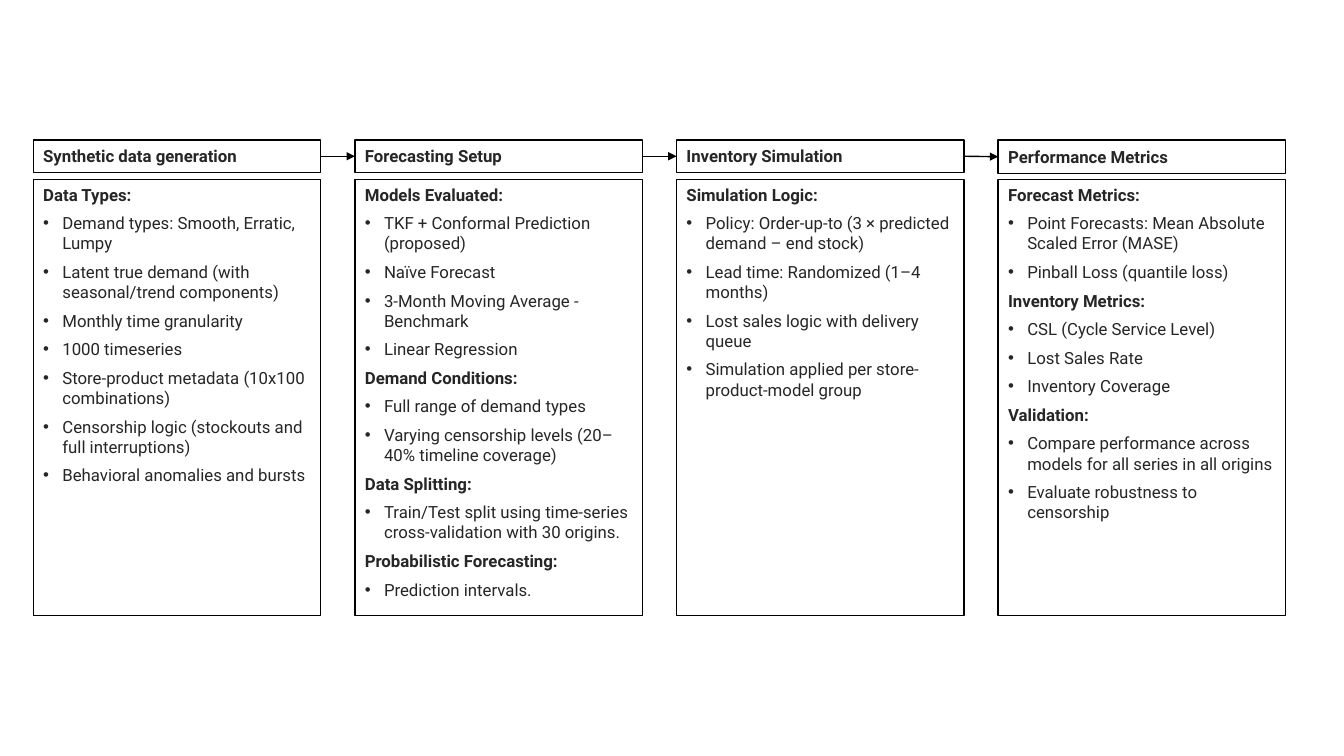
from dataclasses import dataclass

from lxml import etree
from pptx import Presentation
from pptx.dml.color import RGBColor
from pptx.enum.shapes import MSO_CONNECTOR, MSO_SHAPE
from pptx.enum.text import MSO_ANCHOR, PP_ALIGN
from pptx.oxml.ns import qn
from pptx.shapes.autoshape import Shape
from pptx.slide import Slide
from pptx.text.text import _Paragraph
from pptx.util import Inches, Pt

RECTANGLE = MSO_SHAPE.RECTANGLE
STRAIGHT = MSO_CONNECTOR.STRAIGHT
LEFT = PP_ALIGN.LEFT
TOP = MSO_ANCHOR.TOP
MIDDLE = MSO_ANCHOR.MIDDLE

WHITE = RGBColor(0xFF, 0xFF, 0xFF)
BLACK = RGBColor(0x00, 0x00, 0x00)
DARK_GRAY = RGBColor(0x26, 0x26, 0x26)

FONT = "Roboto"
FONT_SIZE = Pt(12)
LINE_WIDTH = Pt(1)
PARAGRAPH_SPACE = Pt(6)
BULLET_INDENT = Inches(0.19)

FIRST_LEFT = 0.33
COLUMN_PITCH = 3.19
COLUMN_WIDTH = 2.85
HEADER_TOP = 1.39
BODY_TOP = 1.78
BODY_HEIGHT = 4.33
LEFT_SIDE = 1
RIGHT_SIDE = 3


@dataclass(frozen=True)
class Section:
    heading: str
    bullets: tuple[str, ...]


@dataclass(frozen=True)
class Stage:
    title: str
    sections: tuple[Section, ...]
    header_height: float = 0.32


STAGES = (
    Stage("Synthetic data generation", (
        Section("Data Types:", (
            "Demand types: Smooth, Erratic, Lumpy",
            "Latent true demand (with seasonal/trend components)",
            "Monthly time granularity",
            "1000 timeseries",
            "Store-product metadata (10x100 combinations)",
            "Censorship logic (stockouts and full interruptions)",
            "Behavioral anomalies and bursts",
        )),
    )),
    Stage("Forecasting Setup", (
        Section("Models Evaluated:", (
            "TKF + Conformal Prediction (proposed)",
            "Naïve Forecast",
            "3-Month Moving Average - Benchmark",
            "Linear Regression",
        )),
        Section("Demand Conditions:", (
            "Full range of demand types",
            "Varying censorship levels (20–40% timeline coverage)",
        )),
        Section("Data Splitting:", (
            "Train/Test split using time-series cross-validation with 30 origins.",
        )),
        Section("Probabilistic Forecasting:", ("Prediction intervals.",)),
    )),
    Stage("Inventory Simulation", (
        Section("Simulation Logic:", (
            "Policy: Order-up-to (3 × predicted demand – end stock)",
            "Lead time: Randomized (1–4 months)",
            "Lost sales logic with delivery queue",
            "Simulation applied per store-product-model group",
        )),
    )),
    Stage("Performance Metrics", (
        Section("Forecast Metrics:", (
            "Point Forecasts: Mean Absolute Scaled Error (MASE)",
            "Pinball Loss (quantile loss)",
        )),
        Section("Inventory Metrics:", (
            "CSL (Cycle Service Level)",
            "Lost Sales Rate",
            "Inventory Coverage",
        )),
        Section("Validation:", (
            "Compare performance across models for all series in all origins",
            "Evaluate robustness to censorship",
        )),
    ), header_height=0.33),
)


def add_box(slide: Slide, left: float, top: float, height: float) -> Shape:
    shape = slide.shapes.add_shape(
        RECTANGLE, Inches(left), Inches(top), Inches(COLUMN_WIDTH), Inches(height)
    )
    shape.shadow.inherit = False
    shape.fill.solid()
    shape.fill.fore_color.rgb = WHITE
    shape.line.color.rgb = BLACK
    shape.line.width = LINE_WIDTH
    shape.text_frame.word_wrap = True
    return shape


def write_text(paragraph: _Paragraph, text: str, bold: bool) -> None:
    paragraph.alignment = LEFT
    run = paragraph.add_run()
    run.text = text
    run.font.name = FONT
    run.font.size = FONT_SIZE
    run.font.bold = bold
    run.font.color.rgb = DARK_GRAY


def add_bullet(paragraph: _Paragraph) -> None:
    properties = paragraph._p.get_or_add_pPr()
    properties.set("marL", str(BULLET_INDENT))
    properties.set("indent", str(-BULLET_INDENT))
    etree.SubElement(properties, qn("a:buFont"), typeface="Arial")
    etree.SubElement(properties, qn("a:buChar"), char="•")


def add_header(slide: Slide, stage: Stage, left: float) -> Shape:
    header = add_box(slide, left, HEADER_TOP, stage.header_height)
    header.text_frame.vertical_anchor = MIDDLE
    write_text(header.text_frame.paragraphs[0], stage.title, True)
    return header


def add_body(slide: Slide, stage: Stage, left: float) -> None:
    text_frame = add_box(slide, left, BODY_TOP, BODY_HEIGHT).text_frame
    text_frame.vertical_anchor = TOP
    lines = [
        (text, is_heading)
        for section in stage.sections
        for text, is_heading in (
            (section.heading, True),
            *((bullet, False) for bullet in section.bullets),
        )
    ]
    for index, (text, is_heading) in enumerate(lines):
        paragraph = text_frame.add_paragraph() if index else text_frame.paragraphs[0]
        paragraph.space_after = PARAGRAPH_SPACE
        write_text(paragraph, text, is_heading)
        if not is_heading:
            add_bullet(paragraph)


def add_arrow(slide: Slide, source: Shape, target: Shape) -> None:
    connector = slide.shapes.add_connector(STRAIGHT, 0, 0, 0, 0)
    connector.begin_connect(source, RIGHT_SIDE)
    connector.end_connect(target, LEFT_SIDE)
    connector.line.color.rgb = BLACK
    connector.line.width = LINE_WIDTH
    etree.SubElement(connector.line._get_or_add_ln(), qn("a:tailEnd"), type="triangle")
    etree.SubElement(connector._element.spPr, qn("a:effectLst"))


def main() -> None:
    presentation = Presentation()
    presentation.slide_width = Inches(13.33)
    presentation.slide_height = Inches(7.5)
    slide = presentation.slides.add_slide(presentation.slide_layouts[6])
    headers: list[Shape] = []
    for index, stage in enumerate(STAGES):
        left = FIRST_LEFT + index * COLUMN_PITCH
        headers.append(add_header(slide, stage, left))
        add_body(slide, stage, left)
    for source, target in zip(headers, headers[1:]):
        add_arrow(slide, source, target)
    presentation.save("out.pptx")


if __name__ == "__main__":
    main()
